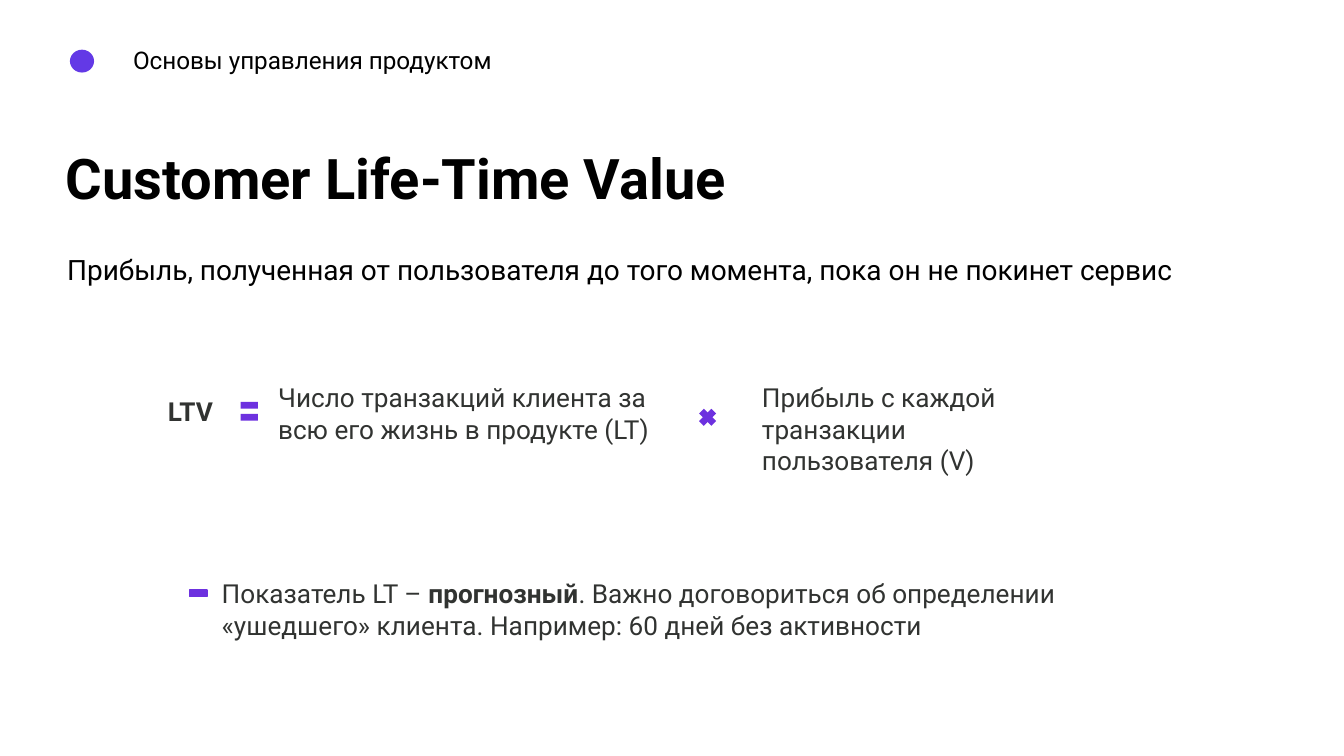
import pptx
import pptx.dml.color
import pptx.enum.shapes
import pptx.enum.text
import pptx.util

Inches = pptx.util.Inches
FONT = "Roboto"
COLORS = {"black": "000000", "text": "313331", "accent": "6D31DF", "mark": "6339E6"}
BAR_WIDTH, BAR_HEIGHT = 0.13, 0.05


def rgb(name):
    """Return the palette colour with the given name."""
    return pptx.dml.color.RGBColor.from_string(COLORS[name])


def write(shape, box, paragraphs, size, color="text", bold=False, inset=(0.01, 0.01, 0, 0)):
    """Place a text shape and fill it with paragraphs, each a list of (text, bold) runs or a string."""
    shape.left, shape.top, shape.width, shape.height = map(Inches, box)
    frame = shape.text_frame
    frame.word_wrap = True
    frame.auto_size = pptx.enum.text.MSO_AUTO_SIZE.NONE
    frame.vertical_anchor = pptx.enum.text.MSO_ANCHOR.TOP
    frame.margin_left, frame.margin_top, frame.margin_right, frame.margin_bottom = map(Inches, inset)
    for index, content in enumerate(paragraphs):
        paragraph = frame.paragraphs[0] if index == 0 else frame.add_paragraph()
        paragraph.alignment = pptx.enum.text.PP_ALIGN.LEFT
        pieces = [(content, bold)] if isinstance(content, str) else content
        for text, is_bold in pieces:
            run = paragraph.add_run()
            run.text = text
            run.font.name = FONT
            run.font.size = pptx.util.Pt(size)
            run.font.bold = is_bold
            run.font.color.rgb = rgb(color)


def add_text(slide, box, paragraphs, size, **style):
    """Add a text box with formatted paragraphs."""
    write(slide.shapes.add_textbox(*map(Inches, box)), box, paragraphs, size, **style)


def add_solid(slide, kind, box, color, rotation=0):
    """Add a filled shape without outline or shadow."""
    solid = slide.shapes.add_shape(kind, *map(Inches, box))
    solid.shadow.inherit = False
    solid.fill.solid()
    solid.fill.fore_color.rgb = rgb(color)
    solid.line.fill.background()
    solid.rotation = rotation
    return solid


def add_bar(slide, left, top, rotation=0):
    """Add one accent bar, the building block of the signs."""
    box = (left, top, BAR_WIDTH, BAR_HEIGHT)
    return add_solid(slide, pptx.enum.shapes.MSO_SHAPE.RECTANGLE, box, "accent", rotation)


def add_header(slide, left, top, width, height):
    """Place the course mark and the course name."""
    add_solid(slide, pptx.enum.shapes.MSO_SHAPE.OVAL, (left, top + 0.08, 0.18, 0.17), "mark")
    add_text(slide, (left + 0.42, top, width - 0.42, height),
             ["Основы управления продуктом"], 13, color="black", inset=(0.05, 0.05, 0.04, 0.04))


def add_heading(slide, left, top, width, height):
    """Place the title and the definition below it."""
    write(slide.shapes.title, (left + 0.1, top, 7.93, 0.49),
          ["Customer Life-Time Value"], 30, color="black", bold=True, inset=(0, 0, 0, 0))
    add_text(slide, (left, top + 0.71, width, height - 0.71),
             ["Прибыль, полученная от пользователя до того момента, пока он не покинет сервис"],
             15, color="black", inset=(0.11, 0.1, 0.1, 0.1))


def add_formula(slide, left, top, width, height):
    """Place the formula LTV = LT × V."""
    add_text(slide, (left, top + 0.1, 0.5, 0.25), ["LTV"], 14, bold=True)
    for row in range(2):
        add_bar(slide, left + 0.55, top + 0.16 + row * 0.09)
    add_text(slide, (left + 0.82, top, 2.97, height),
             ["Число транзакций клиента за", "всю его жизнь в продукте (LT)"], 14)
    for rotation in (45, 315):
        add_bar(slide, left + 3.96, top + 0.25, rotation)
    add_text(slide, (left + 4.42, top, width - 4.42, height),
             ["Прибыль с каждой транзакции", "пользователя (V)"], 14)


def add_note(slide, left, top, width, height):
    """Place the note on the LT metric with its dash marker."""
    dash = add_bar(slide, left, top + 0.1)
    dash.line.color.rgb = rgb("accent")
    dash.line.width = pptx.util.Pt(0.75)
    add_text(slide, (left + 0.23, top, width - 0.23, height), [
        [("Показатель LT – ", False), ("прогнозный", True),
         (". Важно договориться об определении", False)],
        "«ушедшего» клиента. Например: 60 дней без активности",
    ], 14)


def main():
    """Build the slide and save it."""
    presentation = pptx.Presentation()
    presentation.slide_width = Inches(10)
    presentation.slide_height = presentation.slide_width * 9 // 16
    slide = presentation.slides.add_slide(presentation.slide_layouts[5])
    add_header(slide, 0.52, 0.29, 6.33, 0.25)
    add_heading(slide, 0.39, 1.07, 8.98, 1.34)
    add_formula(slide, 1.24, 2.83, 7.28, 0.47)
    add_note(slide, 1.41, 4.29, 6.99, 0.47)
    presentation.save("out.pptx")


if __name__ == "__main__":
    main()
